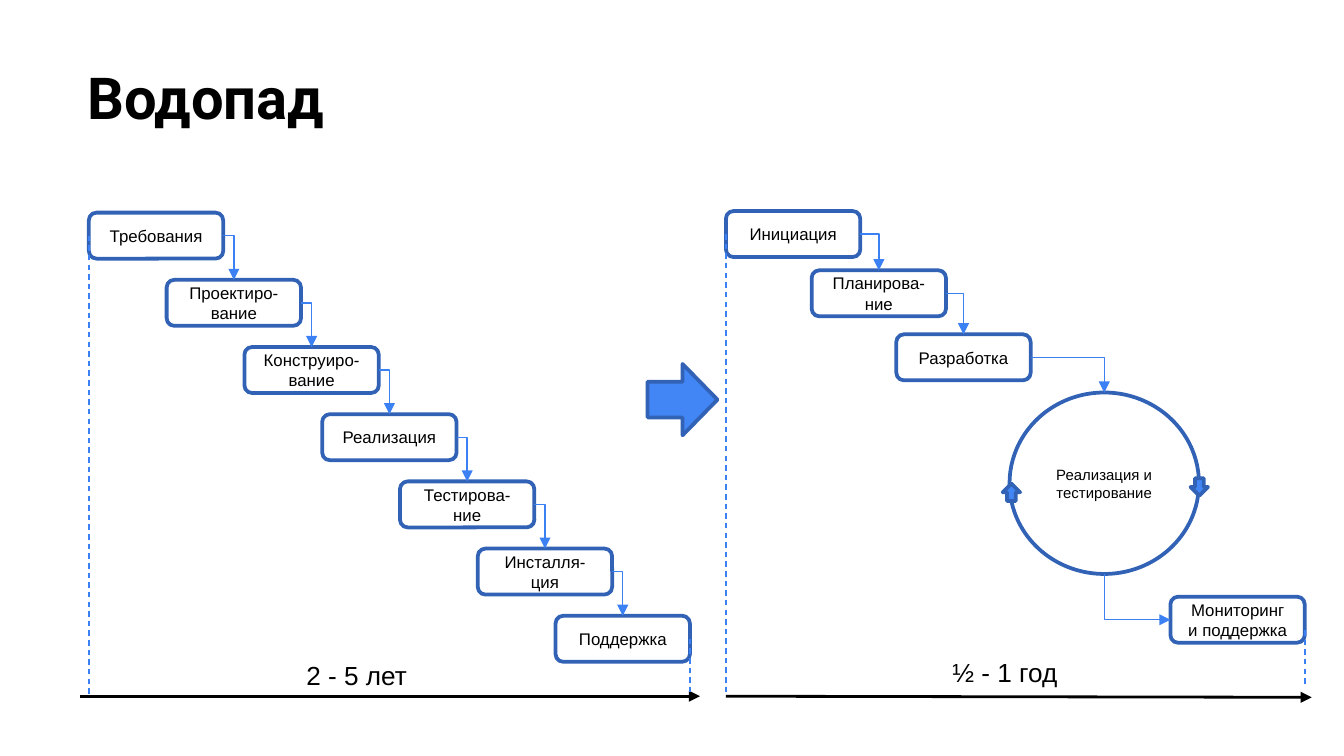
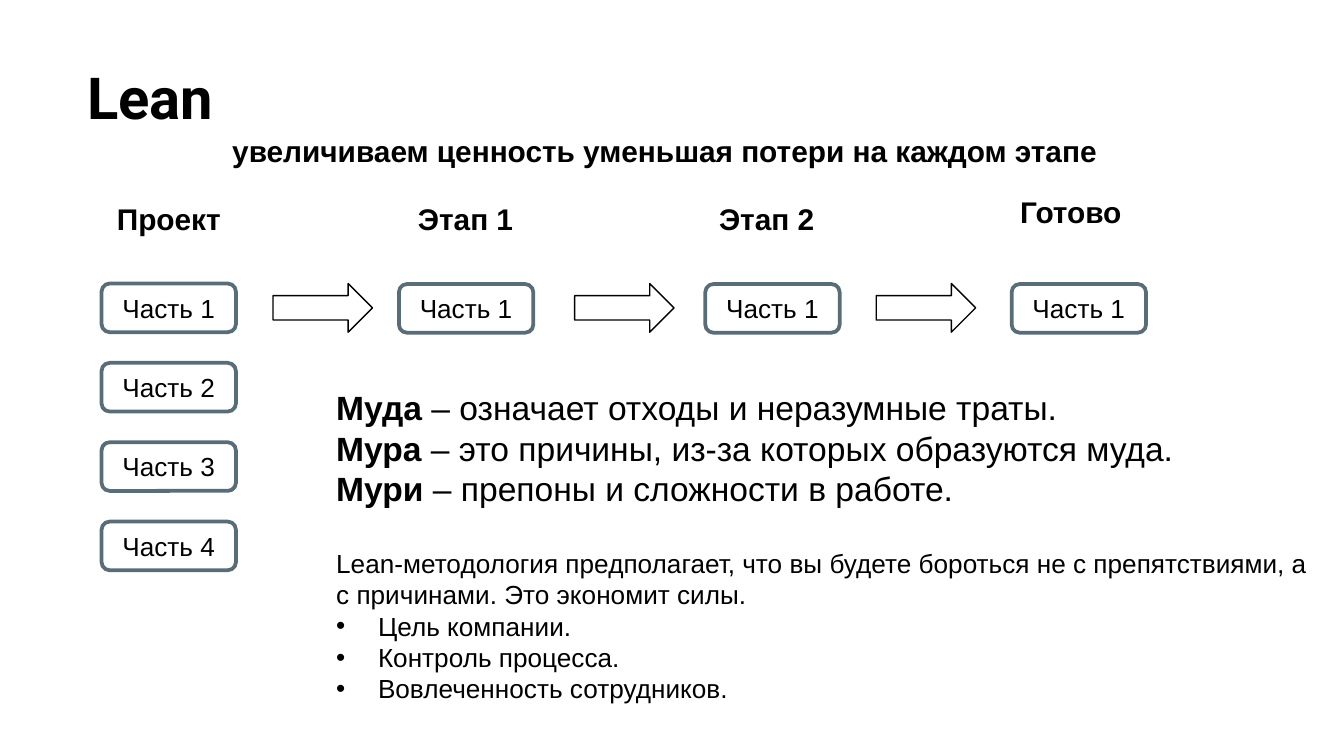
from dataclasses import dataclass
from itertools import pairwise

from lxml.etree import SubElement
from pptx import Presentation
from pptx.dml.color import RGBColor
from pptx.enum.dml import MSO_LINE
from pptx.enum.shapes import MSO_CONNECTOR, MSO_SHAPE
from pptx.enum.text import MSO_ANCHOR, MSO_AUTO_SIZE, PP_ALIGN
from pptx.oxml.ns import qn
from pptx.util import Cm, Pt


@dataclass(frozen=True)
class Theme:
    black: RGBColor = RGBColor.from_string("000000")
    outline: RGBColor = RGBColor.from_string("3162B5")
    fill: RGBColor = RGBColor.from_string("4285F4")
    link: RGBColor = RGBColor.from_string("3C81F3")
    slate: RGBColor = RGBColor.from_string("586D77")
    title_font: str = "Roboto"
    text_font: str = "Arial"
    title_size: int = 31
    term_size: int = 18
    heading_size: int = 16
    text_size: int = 14
    step_size: int = 9
    cycle_size: int = 8


theme = Theme()


def add_box(page, kind, place, outline, text="", size=theme.text_size, fill=None, weight=2):
    box = page.shapes.add_shape(kind, *(Cm(length) for length in place))
    box.shadow.inherit = False
    box.line.color.rgb = outline
    box.line.width = Pt(weight)
    if fill is None:
        box.fill.background()
    else:
        box.fill.solid()
        box.fill.fore_color.rgb = fill
    if text:
        box.text_frame.text = text
        para = box.text_frame.paragraphs[0]
        para.alignment = PP_ALIGN.CENTER
        font = para.runs[0].font
        font.name, font.size, font.color.rgb = theme.text_font, Pt(size), theme.black
    return box


def add_line(page, start, end, color, weight=0.75, kind=MSO_CONNECTOR.STRAIGHT, arrow=False):
    line = page.shapes.add_connector(kind, *start, *end)
    line.line.color.rgb = color
    line.line.width = Pt(weight)
    properties = line._element.spPr
    if kind == MSO_CONNECTOR.ELBOW:
        properties.find(qn("a:prstGeom")).set("prst", "bentConnector2")
    if arrow:
        SubElement(properties.find(qn("a:ln")), qn("a:tailEnd"), type="triangle")
    else:
        line.line.dash_style = MSO_LINE.DASH
    SubElement(properties, qn("a:effectLst"))
    return line


deck = Presentation()
deck.slide_width, deck.slide_height = Cm(25.4), Cm(14.29)
waterfall = deck.slides.add_slide(deck.slide_layouts[5])
lean = deck.slides.add_slide(deck.slide_layouts[1])

# Titles
for page, text, height in ((waterfall, "Водопад", 1.52), (lean, "Lean", 3.05)):
    title = page.shapes.title
    title.left, title.top, title.width, title.height = Cm(1.4), Cm(0.91), Cm(23.67), Cm(height)
    frame = title.text_frame
    frame.text = text
    frame.auto_size = MSO_AUTO_SIZE.NONE
    frame.vertical_anchor = MSO_ANCHOR.TOP
    frame.margin_left = frame.margin_top = frame.margin_right = frame.margin_bottom = Cm(0.25)
    para = frame.paragraphs[0]
    para.alignment = PP_ALIGN.LEFT
    font = para.runs[0].font
    font.name, font.size, font.bold = theme.title_font, Pt(theme.title_size), True
    font.color.rgb = theme.black

# Waterfall: long process on the left
step_width, step_height = 2.54, 0.87
stages = ("Требования", "Проектиро-вание", "Конструиро-вание", "Реализация",
          "Тестирова-ние", "Инсталля-ция", "Поддержка")
long_steps = [
    add_box(waterfall, MSO_SHAPE.ROUNDED_RECTANGLE,
            (1.68 + 1.47 * index, 4.02 + 1.27 * index, step_width, step_height),
            theme.outline, stage, theme.step_size)
    for index, stage in enumerate(stages)
]

# Waterfall: short process with a cycle on the right
short_steps = [
    add_box(waterfall, MSO_SHAPE.ROUNDED_RECTANGLE, (left, top, step_width, step_height),
            theme.outline, stage, theme.step_size)
    for stage, left, top in (("Инициация", 13.72, 3.99), ("Планирова-ние", 15.34, 5.11),
                             ("Разработка", 16.94, 6.32), ("Мониторинг и поддержка", 22.12, 11.28))
]
cycle = add_box(waterfall, MSO_SHAPE.OVAL, (19.08, 7.42, 3.58, 3.43), theme.outline,
                "Реализация и тестирование", theme.cycle_size)
for place, turn in (((12.24, 6.88, 1.32, 1.35), 0), ((18.95, 9.14, 0.33, 0.33), 270),
                    ((22.5, 9.04, 0.33, 0.33), 90)):
    arrow = add_box(waterfall, MSO_SHAPE.RIGHT_ARROW, place, theme.outline, fill=theme.fill)
    arrow.rotation = turn

# Waterfall: links from each step to the next
for source, target in (*pairwise(long_steps), *pairwise([*short_steps[:3], cycle])):
    start = source.left + source.width, source.top + source.height // 2
    end = target.left + target.width // 2, target.top
    link = add_line(waterfall, start, end, theme.link, kind=MSO_CONNECTOR.ELBOW, arrow=True)
    link.begin_connect(source, 3)
    link.end_connect(target, 0)

# The link out of the cycle runs down first, so its frame is turned by 270 degrees
support = short_steps[-1]
start_x, start_y = cycle.left + cycle.width // 2, cycle.top + cycle.height
end_x, end_y = support.left, support.top + support.height // 2
middle_x, middle_y = (start_x + end_x) // 2, (start_y + end_y) // 2
half_run, half_drop = (end_x - start_x) // 2, (end_y - start_y) // 2
link = add_line(waterfall, (middle_x + half_drop, middle_y - half_run),
                (middle_x - half_drop, middle_y + half_run),
                theme.link, kind=MSO_CONNECTOR.ELBOW, arrow=True)
link._element.spPr.find(qn("a:xfrm")).set("rot", str(270 * 60000))

# Waterfall: time axes and their dashed bounds
for left, right, end_top in ((1.52, 13.23, 13.16), (13.72, 24.79, 13.18)):
    add_line(waterfall, (Cm(left), Cm(13.16)), (Cm(right), Cm(end_top)), theme.black, 1.5, arrow=True)
for step, side in ((long_steps[0], 1), (long_steps[-1], 3), (short_steps[0], 1)):
    edge = step.left if side == 1 else step.left + step.width
    bound = add_line(waterfall, (edge, step.top + step.height // 2), (edge, Cm(13.16)), theme.link)
    bound.begin_connect(step, side)
add_line(waterfall, (Cm(24.66), Cm(11.91)), (Cm(24.66), Cm(12.93)), theme.link)

# Lean: parts waiting in the project, and the first part moving on
parts = [("Часть 1", 7.54 + 5.79 * index, 5.37) for index in range(3)]
parts += [(f"Часть {index + 1}", 1.92, 5.36 + 1.5 * index) for index in range(4)]
for text, left, top in parts:
    add_box(lean, MSO_SHAPE.ROUNDED_RECTANGLE, (left, top, 2.54, 0.92), theme.slate, text)
for index in range(3):
    add_box(lean, MSO_SHAPE.RIGHT_ARROW, (5.16 + 5.7 * index, 5.36, 1.88, 0.92),
            theme.black, weight=0.75)

# Labels on both slides
labels = [
    (waterfall, "2 - 5 лет", 5.54, 12.34, 2.44),
    (waterfall, "½ - 1 год", 17.75, 12.29, 2.54),
    (lean, "увеличиваем ценность уменьшая потери на каждом этапе", 4.14, 2.39, 17.15),
]
headings = (("Проект", 3.66, 2.49), ("Этап 1", 3.66, 2.34), ("Этап 2", 3.66, 2.34), ("Готово", 3.53, 2.51))
labels += [(lean, text, 1.96 + 5.69 * index, top, width)
           for index, (text, top, width) in enumerate(headings)]
for page, text, left, top, width in labels:
    on_lean = page is lean
    label = page.shapes.add_textbox(Cm(left), Cm(top), Cm(width), Cm(0.94 if on_lean else 0.86))
    frame = label.text_frame
    frame.text = text
    frame.word_wrap = False
    frame.auto_size = MSO_AUTO_SIZE.SHAPE_TO_FIT_TEXT
    font = frame.paragraphs[0].runs[0].font
    font.name, font.bold, font.color.rgb = theme.text_font, on_lean, theme.black
    font.size = Pt(theme.heading_size if on_lean else theme.text_size)

# Lean: terms, summary and goals; each entry is bold term, text, size, bullet
entries = (
    ("Муда", " – означает отходы и неразумные траты.", theme.term_size, False),
    ("Мура", " – это причины, из-за которых образуются муда.", theme.term_size, False),
    ("Мури", " – препоны и сложности в работе.", theme.term_size, False),
    ("", "Lean-методология предполагает, что вы будете бороться не с препятствиями, "
         "а с причинами. Это экономит силы.", theme.text_size, False),
    ("", "Цель компании.", theme.text_size, True),
    ("", "Контроль процесса.", theme.text_size, True),
    ("", "Вовлеченность сотрудников.", theme.text_size, True),
)
body = lean.placeholders[1]
body.left, body.top, body.width, body.height = Cm(6.1), Cm(7.19), Cm(18.97), Cm(6.32)
frame = body.text_frame
frame.auto_size = MSO_AUTO_SIZE.NONE
for index, (term, text, size, bulleted) in enumerate(entries):
    para = frame.paragraphs[0] if index == 0 else frame.add_paragraph()
    properties = para._p.get_or_add_pPr()
    indent = Cm(0.79) if bulleted else 0
    properties.set("marL", str(indent))
    properties.set("indent", str(-indent))
    if bulleted:
        color = SubElement(properties, qn("a:buClr"))
        SubElement(color, qn("a:srgbClr"), val=str(theme.black))
        SubElement(properties, qn("a:buFont"), typeface=theme.text_font)
        SubElement(properties, qn("a:buChar"), char="•")
    else:
        SubElement(properties, qn("a:buNone"))
    para.space_before = Pt(21 if index == 3 else 0)
    for content, bold in ((term, True), (text, False)):
        if content:
            span = para.add_run()
            span.text = content
            span.font.name, span.font.size, span.font.bold = theme.text_font, Pt(size), bold
            span.font.color.rgb = theme.black

deck.save("out.pptx")
